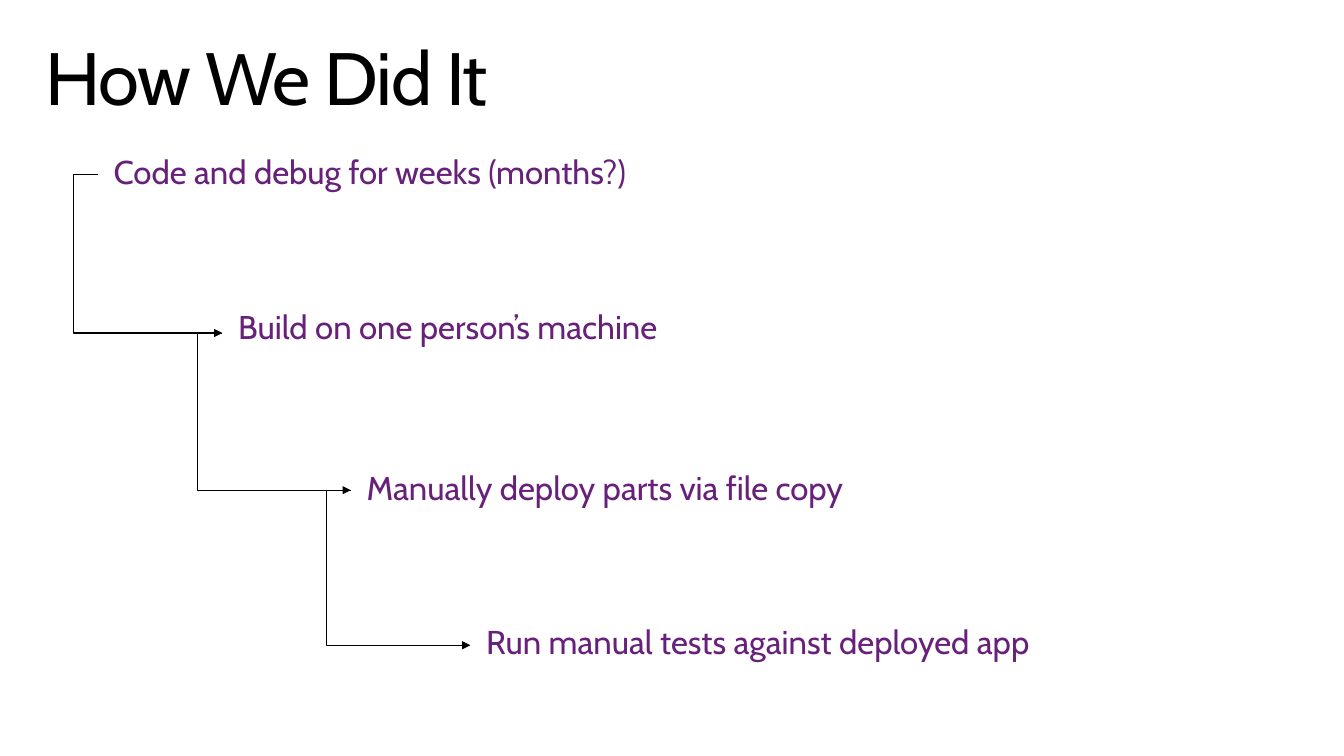
from lxml import etree
from pptx import Presentation
from pptx import util as u
from pptx.dml.color import RGBColor
from pptx.enum import shapes, text
from pptx.oxml.ns import qn


def color(value):
    return RGBColor.from_string(value)


def add_text(page, words, left, top, width, height, size, ink, tracking=0):
    box = page.shapes.add_textbox(*map(u.Inches, (left, top, width, height)))
    frame = box.text_frame
    frame.word_wrap = True
    frame.vertical_anchor = text.MSO_ANCHOR.TOP
    frame.margin_left = frame.margin_right = u.Inches(0.16)
    frame.margin_top = frame.margin_bottom = u.Inches(0.1)
    para = frame.paragraphs[0]
    para.line_spacing = 0.9
    span = para.add_run()
    span.text = words
    span.font.name = "Cabin"
    span.font.size = u.Pt(size)
    span.font.color.rgb = color(ink)
    if tracking:
        span.font._element.set("spc", str(tracking * 100))


deck = Presentation()
deck.slide_width = u.Inches(13.6)
deck.slide_height = u.Inches(7.65)
page = deck.slides.add_slide(deck.slide_layouts[6])
page.background.fill.solid()
page.background.fill.fore_color.rgb = color("FFFFFF")

add_text(page, "How We Did It", 0.3, 0.32, 13, 1, 54, "000000", tracking=-1)

steps = [
    ("Code and debug for weeks (months?)", 0.99, 1.48, 5.59, 0.57),
    ("Build on one person’s machine", 2.25, 3.05, 5.59, 0.63),
    ("Manually deploy parts via file copy", 3.55, 4.68, 5.59, 0.57),
    ("Run manual tests against deployed app", 4.76, 6.24, 6.26, 0.57),
]
for step in steps:
    add_text(page, *step, 24, "68217A")

joints = [(0.99, 1.77), (2.25, 3.37), (3.55, 4.96), (4.76, 6.53)]
elbow_reach = 0.25
for start, end in zip(joints, joints[1:]):
    arrow = page.shapes.add_connector(
        shapes.MSO_CONNECTOR.ELBOW, *map(u.Inches, start + end))
    arrow.line.color.rgb = color("000000")
    arrow.line.width = u.Pt(0.75)
    bend = round(-elbow_reach / (end[0] - start[0]) * 100000)
    properties = arrow._element.spPr
    adjustments = properties.find(qn("a:prstGeom")).get_or_add_avLst()
    etree.SubElement(adjustments, qn("a:gd"), name="adj1", fmla=f"val {bend}")
    etree.SubElement(arrow.line._get_or_add_ln(), qn("a:tailEnd"), type="triangle")
    etree.SubElement(properties, qn("a:effectLst"))

deck.save("out.pptx")
